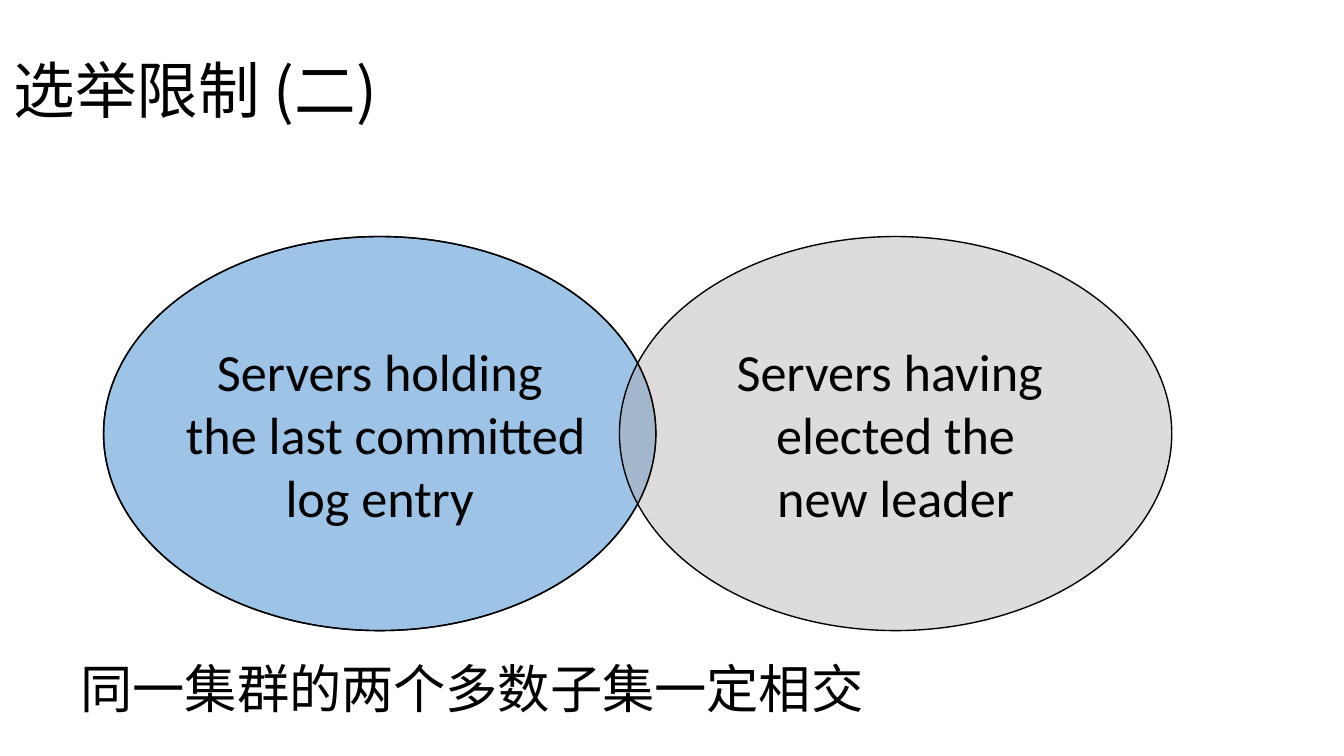
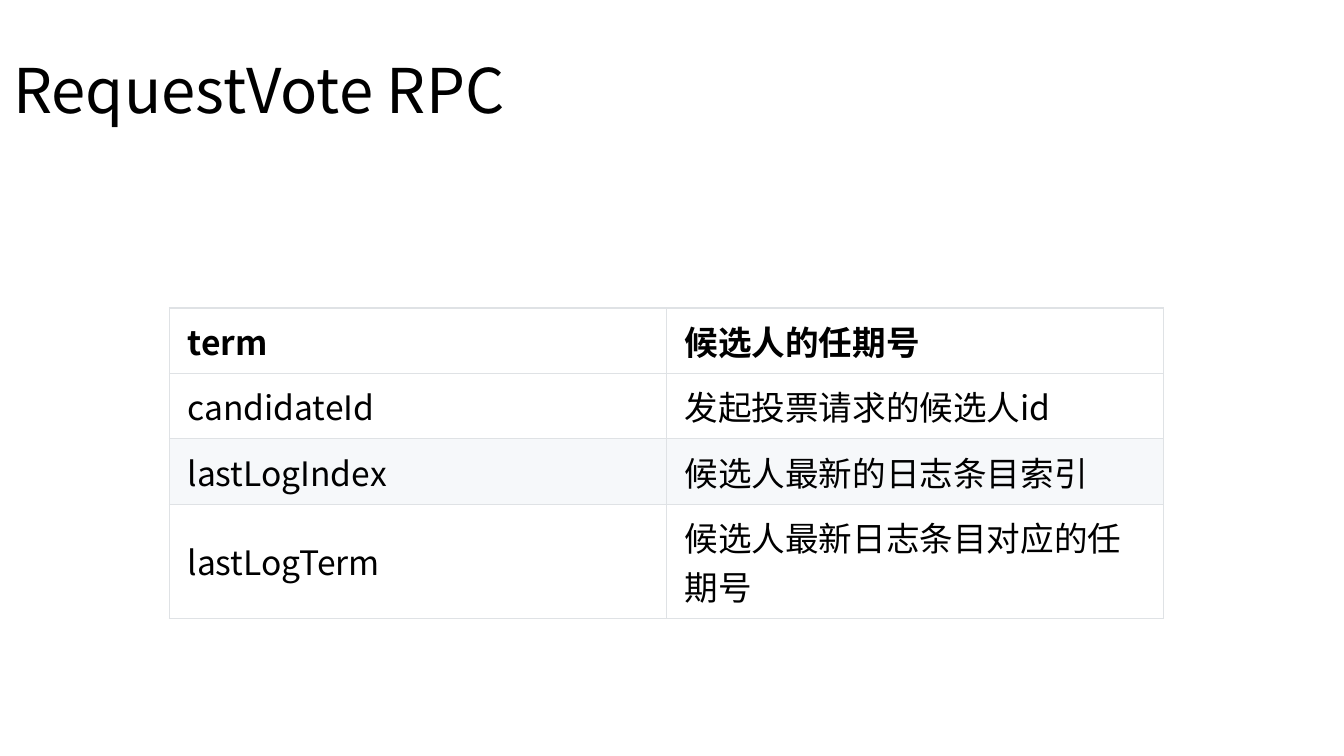
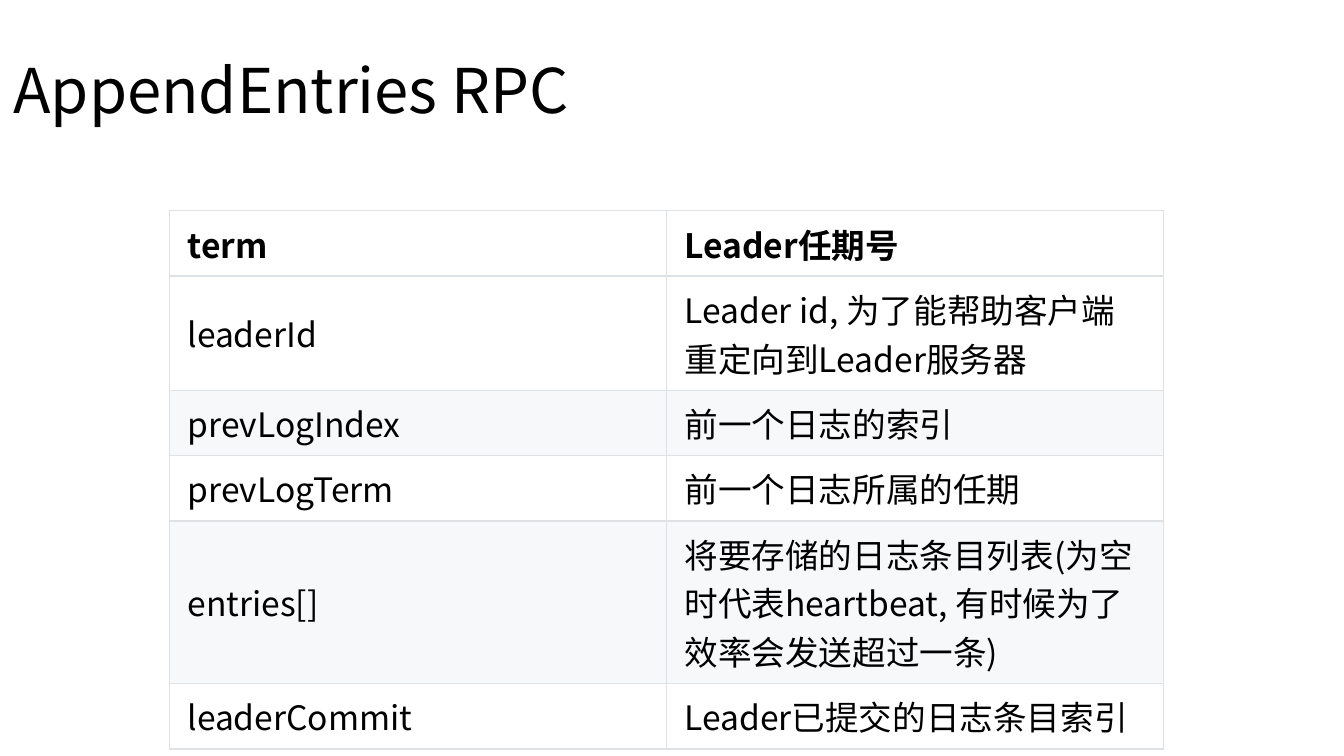
"""Build three slides on Raft elections and the fields of its RPC calls."""
from dataclasses import dataclass
from typing import Any, Optional

from lxml import etree
from pptx import Presentation
from pptx import util as u
from pptx.dml.color import RGBColor
from pptx.enum import shapes, text
from pptx.oxml import ns

PX_PER_INCH = 192
BLACK = RGBColor(0x00, 0x00, 0x00)
WHITE = RGBColor(0xFF, 0xFF, 0xFF)
STRIPE = RGBColor(0xF6, 0xF8, 0xFA)
BORDER = RGBColor(0xDF, 0xE2, 0xE5)
BLUE = RGBColor(0x9D, 0xC3, 0xE6)
GREY = RGBColor(0xAF, 0xAB, 0xAB)
CJK_FONT = "Noto Sans CJK SC"
LATIN_FONT = "Calibri"
TITLE_ONLY = 5
LINE_WIDTH = u.Pt(0.75)

TITLE_FORMAT = {"name": CJK_FONT, "size": u.Pt(33)}
CAPTION_FORMAT = {"name": CJK_FONT, "size": u.Pt(28)}
ELLIPSE_FORMAT = {"name": LATIN_FONT, "size": u.Pt(28)}
CELL_FORMAT = {"name": CJK_FONT, "size": u.Pt(18)}


def px(length: int) -> u.Emu:
    return u.Emu(length * u.Inches(1) // PX_PER_INCH)


@dataclass(frozen=True)
class Box:
    left: int
    top: int
    width: int
    height: int

    def emu(self) -> tuple[u.Emu, ...]:
        return px(self.left), px(self.top), px(self.width), px(self.height)


@dataclass(frozen=True)
class ServerSet:
    box: Box
    lines: tuple[str, ...] = ()
    fill: Optional[RGBColor] = None
    opacity: int = 100


@dataclass(frozen=True)
class FieldTable:
    title: str
    box: Box
    rows: tuple[tuple[str, str], ...]


SLIDE_FORMAT = {"slide_width": px(1920), "slide_height": px(1080)}
TITLE_BOX = Box(0, 44, 1505, 180)
CAPTION_BOX = Box(96, 928, 1169, 109)
HOLDERS_BOX = Box(148, 338, 789, 563)
ELECTORS_BOX = Box(885, 338, 789, 563)
CELL_MARGINS = {
    "margin_left": px(26), "margin_right": px(26),
    "margin_top": px(12), "margin_bottom": px(12),
    "vertical_anchor": text.MSO_ANCHOR.MIDDLE,
}

SERVER_SETS = (
    ServerSet(HOLDERS_BOX, ("Servers holding", " the last committed", "log entry"), BLUE),
    ServerSet(ELECTORS_BOX, ("Servers having ", "elected the", "new leader"), GREY, 42),
    ServerSet(HOLDERS_BOX),
)

FIELD_TABLES = (
    FieldTable("RequestVote RPC", Box(242, 440, 1420, 269), (
        ("term", "候选人的任期号"),
        ("candidateId", "发起投票请求的候选人id"),
        ("lastLogIndex", "候选人最新的日志条目索引"),
        ("lastLogTerm", "候选人最新日志条目对应的任期号"),
    )),
    FieldTable("AppendEntries RPC", Box(242, 301, 1420, 532), (
        ("term", "Leader任期号"),
        ("leaderId", "Leader id, 为了能帮助客户端重定向到Leader服务器"),
        ("prevLogIndex", "前一个日志的索引"),
        ("prevLogTerm", "前一个日志所属的任期"),
        ("entries[]", "将要存储的日志条目列表(为空时代表heartbeat, 有时候为了效率会发送超过一条)"),
        ("leaderCommit", "Leader已提交的日志条目索引"),
    )),
)


def set_attributes(target: Any, values: dict[str, Any]) -> None:
    for name, value in values.items():
        setattr(target, name, value)


def add_text(paragraph: Any, content: str, values: dict[str, Any]) -> None:
    run = paragraph.add_run()
    run.text = content
    set_attributes(run.font, values)
    run.font.color.rgb = BLACK
    east_asian = etree.SubElement(run.font._element, ns.qn("a:ea"))
    east_asian.set("typeface", values["name"])


def add_titled_slide(presentation: Any, title: str) -> Any:
    slide = presentation.slides.add_slide(presentation.slide_layouts[TITLE_ONLY])
    shape = slide.shapes.title
    set_attributes(shape, dict(zip(("left", "top", "width", "height"), TITLE_BOX.emu())))
    set_attributes(shape.text_frame, {
        "vertical_anchor": text.MSO_ANCHOR.MIDDLE,
        "auto_size": text.MSO_AUTO_SIZE.NONE,
        "word_wrap": True,
    })
    paragraph = shape.text_frame.paragraphs[0]
    set_attributes(paragraph, {"alignment": text.PP_ALIGN.LEFT, "line_spacing": 0.9})
    add_text(paragraph, title, TITLE_FORMAT)
    return slide


def add_caption(slide: Any, content: str) -> None:
    frame = slide.shapes.add_textbox(*CAPTION_BOX.emu()).text_frame
    set_attributes(frame, {"word_wrap": False, "auto_size": text.MSO_AUTO_SIZE.SHAPE_TO_FIT_TEXT})
    add_text(frame.paragraphs[0], content, CAPTION_FORMAT)


def add_server_set(slide: Any, server_set: ServerSet) -> None:
    shape = slide.shapes.add_shape(shapes.MSO_SHAPE.OVAL, *server_set.box.emu())
    shape.shadow.inherit = False
    shape.line.color.rgb = BLACK
    shape.line.width = LINE_WIDTH
    if server_set.fill is None:
        shape.fill.background()
    else:
        shape.fill.solid()
        shape.fill.fore_color.rgb = server_set.fill
    if server_set.opacity < 100:
        color = shape._element.spPr.find(ns.qn("a:solidFill"))[0]
        etree.SubElement(color, ns.qn("a:alpha")).set("val", str(server_set.opacity * 1000))
    frame = shape.text_frame
    set_attributes(frame, {"word_wrap": False, "vertical_anchor": text.MSO_ANCHOR.MIDDLE})
    for index, line in enumerate(server_set.lines):
        paragraph = frame.add_paragraph() if index else frame.paragraphs[0]
        paragraph.alignment = text.PP_ALIGN.CENTER
        add_text(paragraph, line, ELLIPSE_FORMAT)


def add_borders(cell: Any) -> None:
    properties = cell._tc.get_or_add_tcPr()
    for index, side in enumerate("LRTB"):
        line = etree.Element(ns.qn(f"a:ln{side}"), w=str(LINE_WIDTH))
        fill = etree.SubElement(line, ns.qn("a:solidFill"))
        etree.SubElement(fill, ns.qn("a:srgbClr")).set("val", str(BORDER))
        properties.insert(index, line)


def add_field_table(slide: Any, field_table: FieldTable) -> None:
    rows = field_table.rows
    table = slide.shapes.add_table(len(rows), len(rows[0]), *field_table.box.emu()).table
    set_attributes(table, {"first_row": False, "horz_banding": False})
    for row_index, row in enumerate(rows):
        striped = row_index > 0 and row_index % 2 == 0
        for column_index, content in enumerate(row):
            cell = table.cell(row_index, column_index)
            set_attributes(cell, CELL_MARGINS)
            cell.fill.solid()
            cell.fill.fore_color.rgb = STRIPE if striped else WHITE
            add_borders(cell)
            paragraph = cell.text_frame.paragraphs[0]
            add_text(paragraph, content, CELL_FORMAT | {"bold": row_index == 0})


def main() -> None:
    presentation = Presentation()
    set_attributes(presentation, SLIDE_FORMAT)
    slide = add_titled_slide(presentation, "选举限制 (二)")
    add_caption(slide, "同一集群的两个多数子集一定相交")
    for server_set in SERVER_SETS:
        add_server_set(slide, server_set)
    for field_table in FIELD_TABLES:
        add_field_table(add_titled_slide(presentation, field_table.title), field_table)
    presentation.save("out.pptx")


if __name__ == "__main__":
    main()
